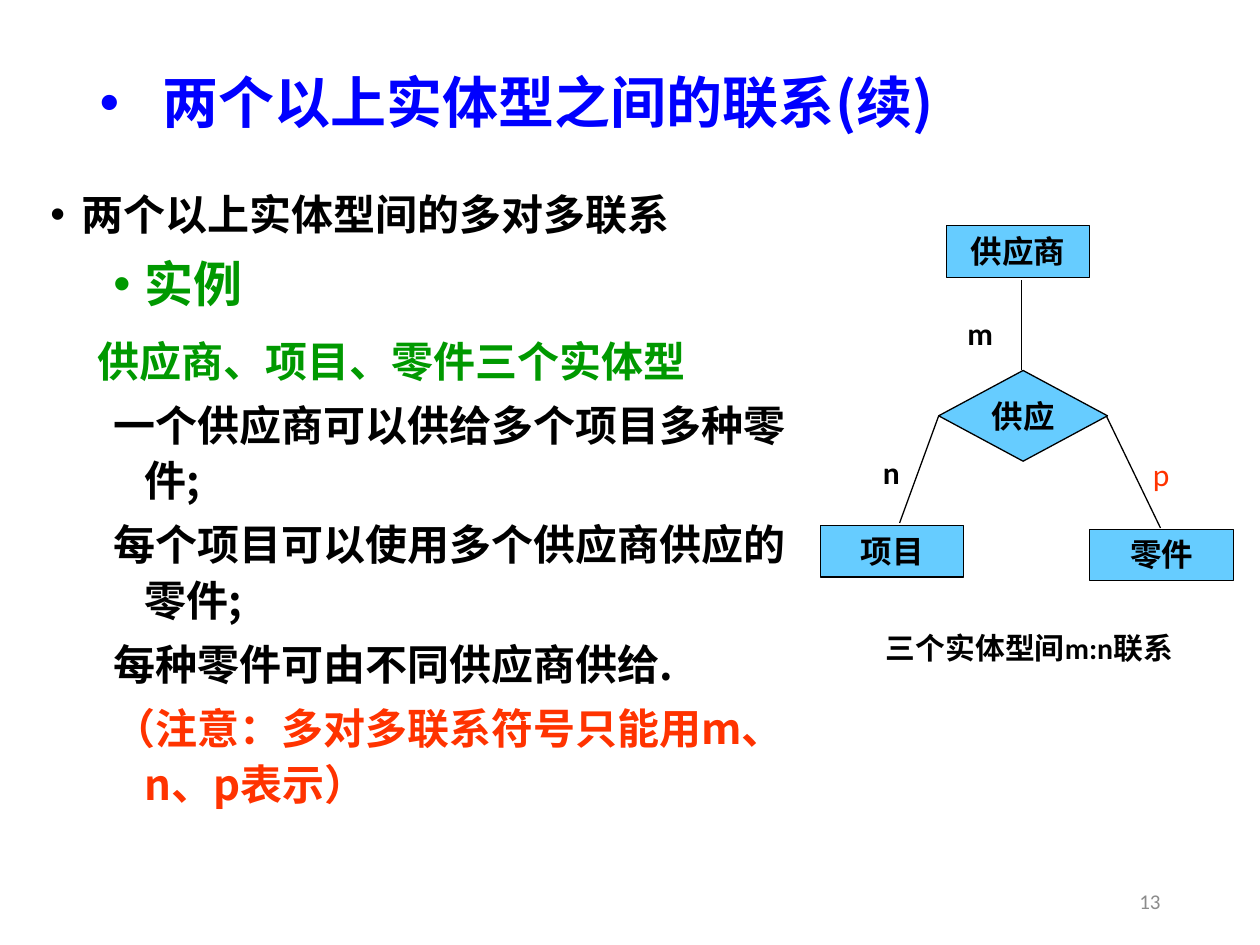
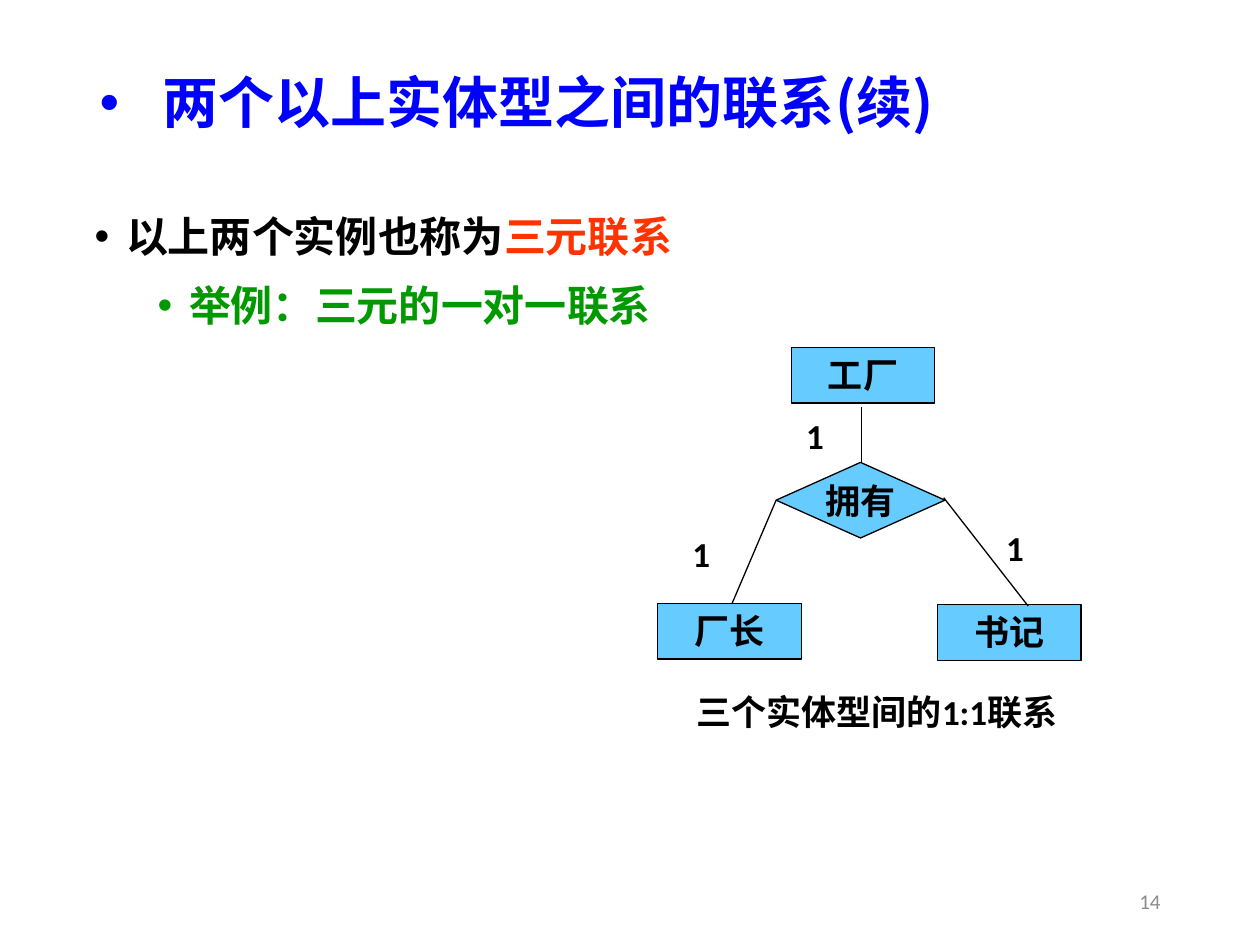
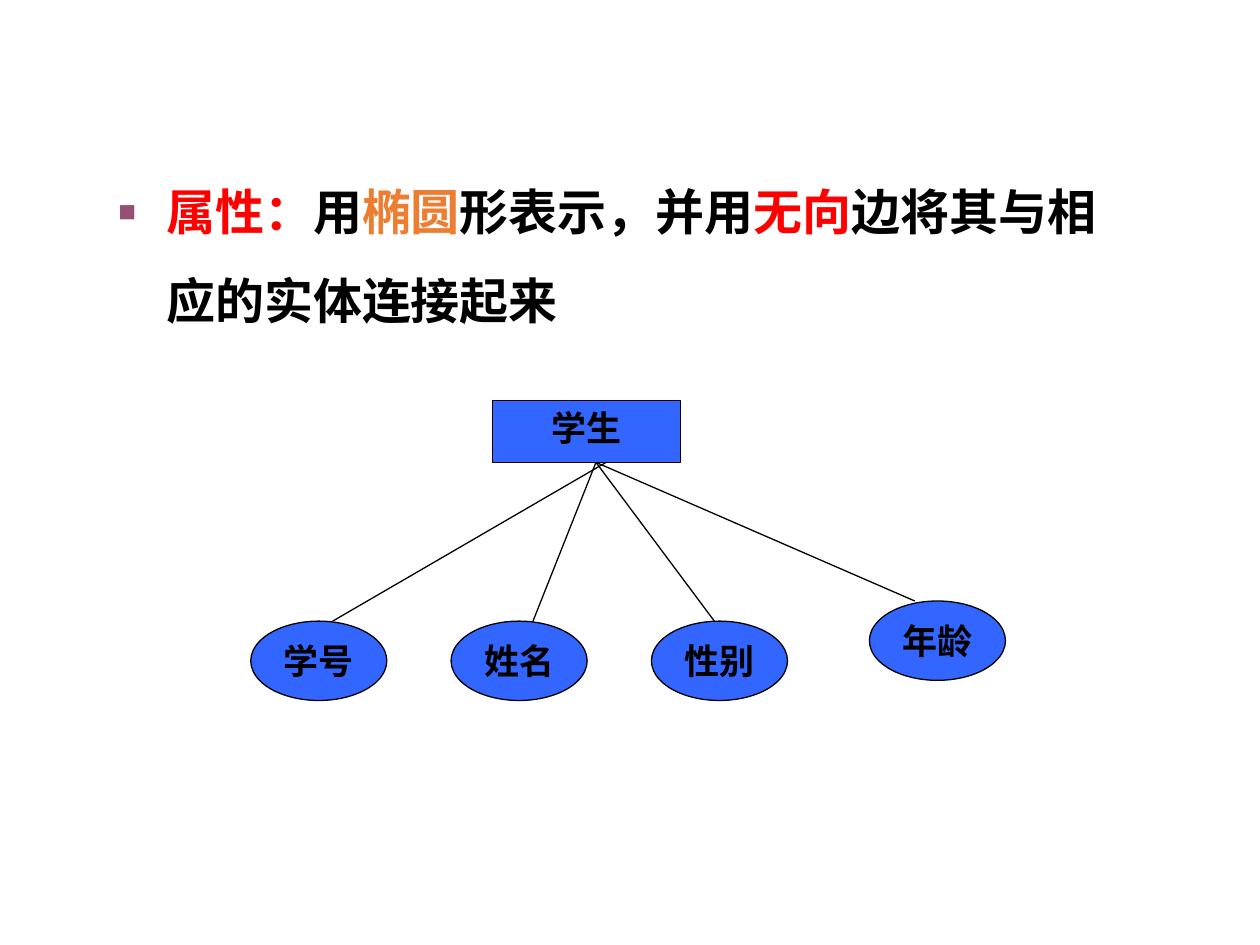
from lxml import etree
from pptx import Presentation
from pptx.dml.color import RGBColor
from pptx.enum.shapes import MSO_CONNECTOR, MSO_SHAPE
from pptx.enum.text import MSO_ANCHOR, MSO_AUTO_SIZE, PP_ALIGN
from pptx.oxml.ns import qn
from pptx.util import Inches, Pt

RECTANGLE, DIAMOND, ELLIPSE = MSO_SHAPE.RECTANGLE, MSO_SHAPE.DIAMOND, MSO_SHAPE.OVAL
STRAIGHT = MSO_CONNECTOR.STRAIGHT
TOP, MIDDLE = MSO_ANCHOR.TOP, MSO_ANCHOR.MIDDLE
LEFT, CENTER, RIGHT = PP_ALIGN.LEFT, PP_ALIGN.CENTER, PP_ALIGN.RIGHT
NO_AUTOFIT = MSO_AUTO_SIZE.NONE

CJK, LATIN = "Noto Sans CJK SC", "Calibri"
BLACK, GREY, BLUE, GREEN = "000000", "8C8C8C", "0000FF", "009900"
VERMILION, RED, ORANGE, PURPLE = "FF3300", "FF0000", "ED7D31", "954F72"
SKY, ROYAL = "66CCFF", "3366FF"

SERIES_TITLE = "两个以上实体型之间的联系(续)"
ENTITY_WIDTH = 1.14


def rgb(color):
    return RGBColor.from_string(color)


class Deck:
    def __init__(self):
        self.presentation = Presentation()
        self.presentation.slide_width = Inches(10)
        self.presentation.slide_height = Inches(7.5)
        self.slide = None

    def new_slide(self, title=None, number=None):
        self.slide = self.presentation.slides.add_slide(self.presentation.slide_layouts[1])
        heading = self.slide.shapes.title
        if title:
            self.place(heading, 0.69, 0.4, 8.62, 0.87)
            frame = self.prepare_frame(heading, MIDDLE)
            paragraph = frame.paragraphs[0]
            self.format_list_item(paragraph, 0.5, -0.5, 0.9, bullet="•")
            self.add_run(paragraph, title, 32, BLUE, font=CJK)
        else:
            heading.element.getparent().remove(heading.element)
        if number:
            self.text(str(number), 7.06, 6.95, 2.25, 0.4, 12, GREY, False, RIGHT, MIDDLE)

    def place(self, shape, left, top, width, height):
        shape.left, shape.top = Inches(left), Inches(top)
        shape.width, shape.height = Inches(width), Inches(height)

    def prepare_frame(self, shape, anchor=TOP, wrap=True):
        frame = shape.text_frame
        frame.auto_size = NO_AUTOFIT
        frame.word_wrap = wrap
        frame.vertical_anchor = anchor
        return frame

    def add_run(self, paragraph, text, size, color, bold=True, font=LATIN):
        run = paragraph.add_run()
        run.text = text
        run.font.size = Pt(size)
        run.font.bold = bold
        run.font.name = font
        run.font.color.rgb = rgb(color)
        east_asian = etree.Element(qn("a:ea"), typeface=CJK)
        run.font._element.find(qn("a:latin")).addnext(east_asian)

    def format_list_item(self, paragraph, margin, indent, spacing, before=0,
                         bullet=None, bullet_color=None, bullet_percent=None):
        paragraph.alignment = LEFT
        paragraph.line_spacing = spacing
        paragraph.space_before = Pt(before)
        properties = paragraph._p.get_or_add_pPr()
        properties.set("marL", str(Inches(margin)))
        properties.set("indent", str(Inches(indent)))
        if bullet_color:
            color = etree.SubElement(properties, qn("a:buClr"))
            etree.SubElement(color, qn("a:srgbClr"), val=bullet_color)
        if bullet_percent:
            etree.SubElement(properties, qn("a:buSzPct"), val=str(bullet_percent * 1000))
        if bullet:
            etree.SubElement(properties, qn("a:buFont"), typeface="Arial")
            etree.SubElement(properties, qn("a:buChar"), char=bullet)
        else:
            etree.SubElement(properties, qn("a:buNone"))

    def body(self, left, top, width, height, items):
        """Fill the body with (level, size, runs, list format) items."""
        placeholder = self.slide.placeholders[1]
        self.place(placeholder, left, top, width, height)
        frame = self.prepare_frame(placeholder)
        for index, (level, size, runs, style) in enumerate(items):
            paragraph = frame.add_paragraph() if index else frame.paragraphs[0]
            paragraph.level = level
            before = (5 if level else 10) if index else 0
            self.format_list_item(paragraph, before=before, **style)
            for text, color in runs:
                self.add_run(paragraph, text, size, color, font=CJK)

    def text(self, text, left, top, width, height, size, color=BLACK, bold=True,
             alignment=CENTER, anchor=TOP):
        box = self.slide.shapes.add_textbox(
            Inches(left), Inches(top), Inches(width), Inches(height))
        paragraph = self.prepare_frame(box, anchor).paragraphs[0]
        paragraph.alignment = alignment
        self.add_run(paragraph, text, size, color, bold)

    def node(self, kind, text, left, top, width, height, fill, size):
        shape = self.slide.shapes.add_shape(
            kind, Inches(left), Inches(top), Inches(width), Inches(height))
        shape.shadow.inherit = False
        shape.fill.solid()
        shape.fill.fore_color.rgb = rgb(fill)
        shape.line.color.rgb = rgb(BLACK)
        shape.line.width = Pt(0.75)
        is_box = kind == RECTANGLE
        frame = self.prepare_frame(shape, TOP if is_box else MIDDLE, is_box)
        paragraph = frame.paragraphs[0]
        paragraph.alignment = CENTER
        self.add_run(paragraph, text, size, BLACK)

    def line(self, start, end):
        connector = self.slide.shapes.add_connector(
            STRAIGHT, *(Inches(value) for value in (*start, *end)))
        connector.line.color.rgb = rgb(BLACK)
        connector.line.width = Pt(0.75)
        etree.SubElement(connector._element.spPr, qn("a:effectLst"))

    def ternary_diagram(self, size, entity_height, entities, relationship, lines, labels):
        for name, left, top in entities:
            self.node(RECTANGLE, name, left, top, ENTITY_WIDTH, entity_height, SKY, size)
        self.node(DIAMOND, *relationship, SKY, size)
        for start, end in lines:
            self.line(start, end)
        for label in labels:
            self.text(*label)


def list_style(level, spacing, bullet="•"):
    return {"margin": 0.75 if level else 0.25, "indent": -0.25,
            "spacing": spacing, "bullet": bullet}


def many_to_many_slide(deck):
    deck.new_slide(SERIES_TITLE, 13)
    plain = list_style(1, 1.1, None)
    statement = {"margin": 0.37, "indent": 0, "spacing": 1.1}
    explanations = [
        ("一个供应商可以供给多个项目多种零件;", BLACK),
        ("每个项目可以使用多个供应商供应的零件;", BLACK),
        ("每种零件可由不同供应商供给.", BLACK),
        ("（注意：多对多联系符号只能用m、n、p表示）", VERMILION),
    ]
    deck.body(0.3, 1.41, 6.21, 5.75, [
        (0, 24, [("两个以上实体型间的多对多联系", BLACK)], list_style(0, 1.1)),
        (1, 28, [("实例", GREEN)], list_style(1, 1.1)),
        (0, 24, [("供应商、项目、零件三个实体型", GREEN)], statement),
        *((1, 24, [explanation], plain) for explanation in explanations),
    ])
    deck.ternary_diagram(
        18, 0.41,
        entities=[("供应商", 7.51, 1.79), ("项目", 6.51, 4.17), ("零件", 8.65, 4.2)],
        relationship=("供应", 7.45, 2.94, 1.34, 0.72),
        lines=[((8.11, 2.94), (8.11, 2.22)), ((7.45, 3.3), (7.14, 4.15)),
               ((8.78, 3.3), (9.21, 4.19))],
        labels=[("m", 7.58, 2.44, 0.34, 0.4, 18), ("n", 6.91, 3.55, 0.33, 0.4, 18),
                ("p", 9.05, 3.56, 0.33, 0.4, 18, VERMILION, False),
                ("三个实体型间m:n联系", 6.34, 4.95, 3.66, 0.38, 17)])


def one_to_one_slide(deck):
    deck.new_slide(SERIES_TITLE, 14)
    deck.body(0.65, 1.54, 6.14, 5.64, [
        (0, 24, [("以上两个实例也称为", BLACK), ("三元联系", VERMILION)], list_style(0, 1.2)),
        (1, 24, [("举例：三元的一对一联系", GREEN)], list_style(1, 1.2)),
    ])
    deck.ternary_diagram(
        20, 0.44,
        entities=[("工厂", 6.28, 2.76), ("厂长", 5.22, 4.79), ("书记", 7.44, 4.8)],
        relationship=("拥有", 6.16, 3.67, 1.34, 0.6),
        lines=[((6.84, 3.67), (6.84, 3.23)), ((6.16, 3.97), (5.81, 4.79)),
               ((7.49, 3.95), (8.16, 4.81))],
        labels=[("1", 6.3, 3.24, 0.33, 0.43, 20), ("1", 5.33, 4.18, 0.47, 0.43, 20),
                ("1", 7.85, 4.13, 0.41, 0.43, 20),
                ("三个实体型间的1:1联系", 5.15, 5.43, 3.62, 0.43, 20)])


def attribute_slide(deck):
    deck.new_slide()
    runs = [("属性：", RED), ("用", BLACK), ("椭圆", ORANGE), ("形表示，并用", BLACK),
            ("无向", RED), ("边将其与相应的实体连接起来", BLACK)]
    style = {"margin": 0.38, "indent": -0.38, "spacing": 1.5, "bullet": "■",
             "bullet_color": PURPLE, "bullet_percent": 60}
    deck.body(0.84, 1.16, 8.22, 5.31, [(0, 28, runs, style)])
    deck.node(RECTANGLE, "学生", 3.91, 3.18, 1.49, 0.49, ROYAL, 20)
    attributes = [("学号", 1.99, 4.93, 4.81, 2.64), ("姓名", 3.58, 4.93, 4.73, 4.23),
                  ("性别", 5.17, 4.93, 4.73, 5.67), ("年龄", 6.9, 4.77, 4.73, 7.26)]
    for name, left, top, start_x, end_x in attributes:
        deck.node(ELLIPSE, name, left, top, 1.08, 0.63, ROYAL, 20)
        deck.line((start_x, 3.67), (end_x, top))


def main():
    deck = Deck()
    many_to_many_slide(deck)
    one_to_one_slide(deck)
    attribute_slide(deck)
    deck.presentation.save("out.pptx")


if __name__ == "__main__":
    main()
